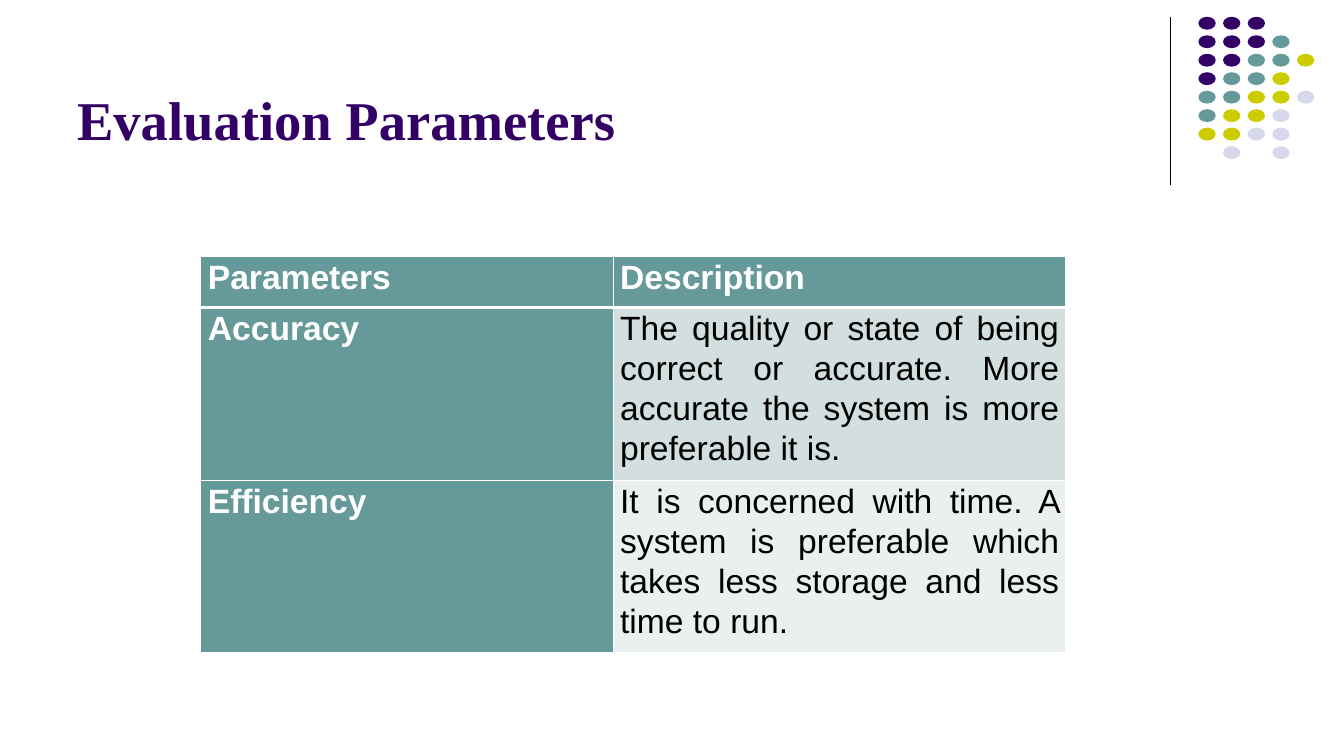
import pptx
import pptx.util
import pptx.dml.color
import pptx.enum.shapes
import pptx.enum.text
import pptx.oxml
import pptx.oxml.ns

Pt = pptx.util.Pt
RGB = pptx.dml.color.RGBColor
ALIGN = pptx.enum.text.PP_ALIGN
PURPLE = RGB(0x33, 0x00, 0x66)
TEAL = RGB(0x66, 0x99, 0x99)
LIME = RGB(0xCC, 0xCC, 0x00)
LILAC = RGB(0xD8, 0xD8, 0xEC)
DARK = RGB(0xD3, 0xDE, 0xDE)
PALE = RGB(0xEA, 0xEF, 0xEF)
WHITE = RGB(0xFF, 0xFF, 0xFF)
BLACK = RGB(0x00, 0x00, 0x00)


def write(frame, text, name, size, color, bold):
    """Put one styled run of text in a frame and return its paragraph."""
    para = frame.paragraphs[0]
    run = para.add_run()
    run.text = text
    style = {"name": name, "size": Pt(size), "bold": bold}
    for key, value in style.items():
        setattr(run.font, key, value)
    run.font.color.rgb = color
    return para


def edge(cell, widths):
    """Give a cell white borders: left, right, top and bottom, in points."""
    props = cell._tc.get_or_add_tcPr()
    for i, (side, width) in enumerate(zip("LRTB", widths)):
        line = pptx.oxml.parse_xml(
            f'<a:ln{side} {pptx.oxml.ns.nsdecls("a")} w="{Pt(width)}">'
            f'<a:solidFill><a:srgbClr val="{WHITE}"/></a:solidFill></a:ln{side}>')
        props.insert(i, line)


deck = pptx.Presentation()
deck.slide_width, deck.slide_height = Pt(960), Pt(540)
slide = deck.slides.add_slide(deck.slide_layouts[6])
shapes = slide.shapes

# Corner rule
rule = shapes.add_connector(pptx.enum.shapes.MSO_CONNECTOR.STRAIGHT,
                            Pt(836), Pt(12), Pt(836), Pt(132))
rule.line.color.rgb = BLACK
rule.line.width = Pt(0.75)
rule._element.spPr.append(
    pptx.oxml.parse_xml(f'<a:effectLst {pptx.oxml.ns.nsdecls("a")}/>'))

# Corner dots: one letter a dot, a space for a gap
tints = {"P": PURPLE, "T": TEAL, "Y": LIME, "L": LILAC}
dots = ["PPP", "PPPT", "PPTTY", "PTTY", "TTYYL", "TYYL", "YYLL", " L L"]
group = shapes.add_group_shape()
for row, marks in enumerate(dots):
    for col, mark in enumerate(marks):
        if mark == " ":
            continue
        dot = group.shapes.add_shape(
            pptx.enum.shapes.MSO_SHAPE.OVAL,
            Pt(856 + 17.6 * col), Pt(12 + 13.2 * row), Pt(12.4), Pt(9.2))
        dot.shadow.inherit = False
        dot.fill.solid()
        dot.fill.fore_color.rgb = tints[mark]
        dot.line.fill.background()

# Title
title = shapes.add_textbox(Pt(48), Pt(9.5), Pt(792), Pt(102)).text_frame
title.word_wrap = True
title.vertical_anchor = pptx.enum.text.MSO_ANCHOR.BOTTOM
write(title, "Evaluation Parameters", "Times New Roman", 39, PURPLE, True)

# Table
rows = [
    ("Parameters", "Description"),
    ("Accuracy", "The quality or state of being correct or accurate. "
                 "More accurate the system is more preferable it is."),
    ("Efficiency", "It is concerned with time. A system is preferable "
                   "which takes less storage and less time to run."),
]
fills = [TEAL, DARK, PALE]
table = shapes.add_table(3, 2, Pt(143.5), Pt(183), Pt(618), Pt(267)).table
for col, width in zip(table.columns, (294.5, 323.5)):
    col.width = Pt(width)
for row, height in zip(table.rows, (36.7, 115.2, 115.2)):
    row.height = Pt(height)
pads = {"margin_left": Pt(5), "margin_right": Pt(5),
        "margin_top": 0, "margin_bottom": 0}
for r, texts in enumerate(rows):
    for c, text in enumerate(texts):
        cell = table.cell(r, c)
        head = r == 0 or c == 0
        for key, value in pads.items():
            setattr(cell, key, value)
        cell.fill.solid()
        cell.fill.fore_color.rgb = TEAL if head else fills[r]
        para = write(cell.text_frame, text, "Arial", 24,
                     WHITE if head else BLACK, head)
        para.alignment = ALIGN.JUSTIFY
        para.line_spacing = 1.07
        edge(cell, (1, 1, 3 if r == 1 else 1, 3 if r == 0 else 1))

deck.save("out.pptx")
